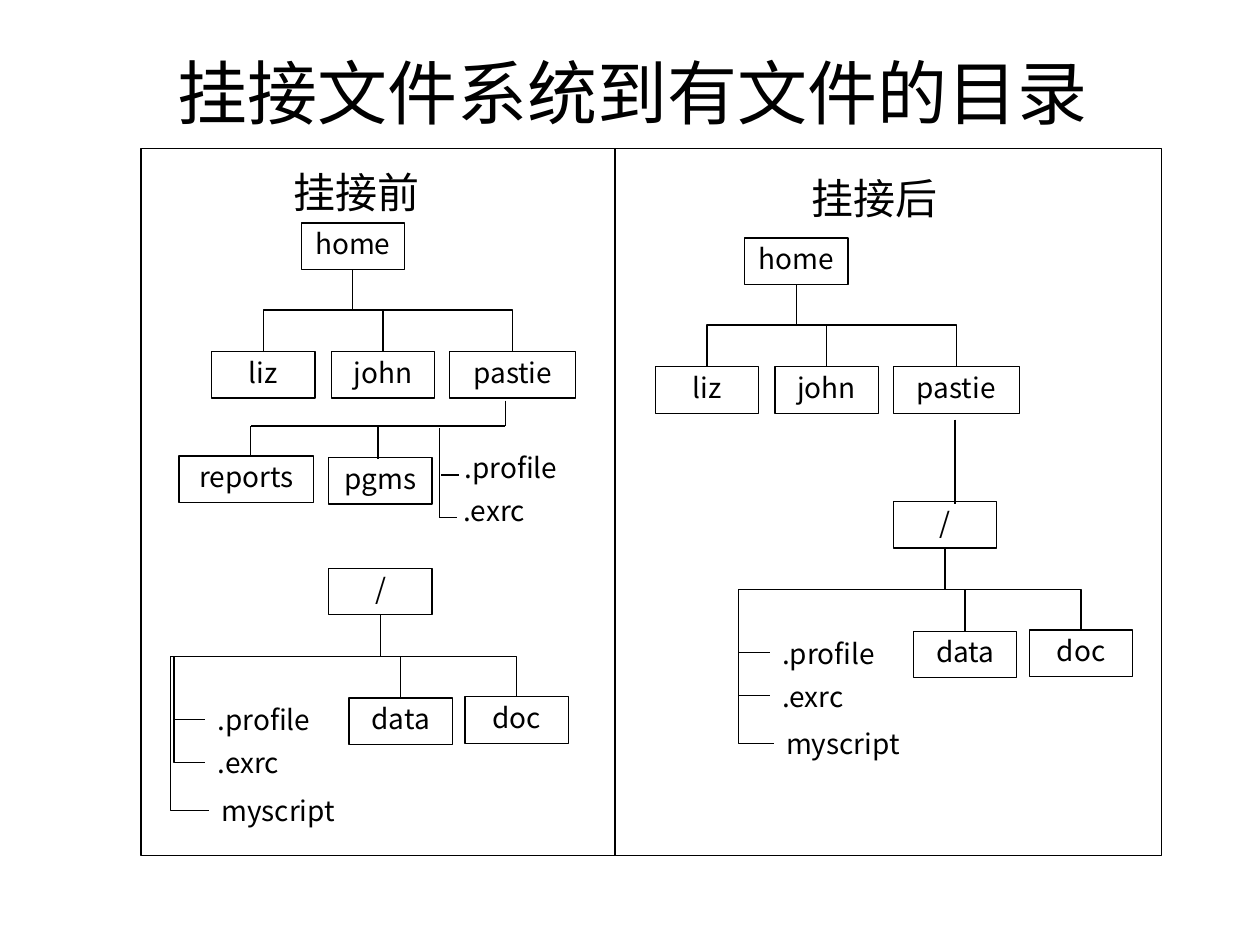
"""Build the slide on mounting a file system onto a directory that holds files."""

from dataclasses import dataclass

import pptx
import pptx.dml.color
import pptx.enum.shapes
import pptx.enum.text
import pptx.oxml
import pptx.oxml.ns
import pptx.util

Inches = pptx.util.Inches
Pt = pptx.util.Pt
ALIGN = pptx.enum.text.PP_ALIGN
ANCHOR = pptx.enum.text.MSO_ANCHOR
CONNECTOR = pptx.enum.shapes.MSO_CONNECTOR
RECTANGLE = pptx.enum.shapes.MSO_SHAPE.RECTANGLE

BLACK = pptx.dml.color.RGBColor(0x00, 0x00, 0x00)
HEADING_FONT = "Times New Roman"
NODE_FONT = "Noto Sans CJK SC"
NODE_WIDTH = 0.82
NODE_HEIGHT = 0.37
LINE_WIDTH = Pt(0.75)


@dataclass(frozen=True)
class Node:
    label: str
    left: float
    top: float
    width: float = NODE_WIDTH

    @property
    def centre(self) -> float:
        return self.left + self.width / 2

    @property
    def bottom(self) -> float:
        return self.top + NODE_HEIGHT

    def moved(self, right: float, down: float) -> "Node":
        return Node(self.label, self.left + right, self.top + down, self.width)


@dataclass(frozen=True)
class Heading:
    label: str
    left: float
    top: float
    width: float
    height: float
    size: int


HEADINGS = [
    Heading("挂接文件系统到有文件的目录", 0.77, 0.34, 8.5, 0.77, 40),
    Heading("挂接前", 1.94, 1.27, 1.78, 0.5, 24),
    Heading("挂接后", 6.05, 1.32, 1.78, 0.5, 24),
]
HOME = Node("home", 2.39, 1.77)
USERS = [
    Node("liz", 1.68, 2.79),
    Node("john", 2.63, 2.79),
    Node("pastie", 3.57, 2.79, 1.0),
]
ROOT = Node("/", 2.61, 4.51)
FOLDERS = [Node("data", 2.77, 5.54), Node("doc", 3.69, 5.53)]
FILES = [
    Node(".profile", 1.63, 5.55, 1.21),
    Node(".exrc", 1.63, 5.89, 1.21),
    Node("myscript", 1.66, 6.27, 1.21),
]
PASTIE_FOLDERS = [Node("reports", 1.42, 3.62, 1.07), Node("pgms", 2.61, 3.63)]
PASTIE_FILES = [Node(".profile", 3.59, 3.55, 1.21), Node(".exrc", 3.58, 3.89, 1.21)]
STRAIGHT_LINES = [
    (4.88, 1.18, 4.88, 6.79),
    (4.01, 3.18, 4.01, 3.38),
    (4.01, 3.38, 1.99, 3.38),
    (1.99, 3.38, 1.99, 3.63),
    (3.0, 3.39, 3.0, 3.64),
    (3.49, 3.4, 3.49, 4.11),
    (3.49, 4.11, 3.63, 4.11),
    (3.5, 3.77, 3.64, 3.77),
    (7.58, 3.33, 7.58, 4.0),
]


def write_text(box, label: str, font: str, size: int, align, anchor, inset: float) -> None:
    frame = box.text_frame
    frame_format = {
        "word_wrap": True,
        "vertical_anchor": anchor,
        "margin_left": Inches(0.1),
        "margin_right": Inches(0.1),
        "margin_top": Inches(inset),
        "margin_bottom": Inches(0.05),
    }
    for name, value in frame_format.items():
        setattr(frame, name, value)
    para = frame.paragraphs[0]
    para.alignment = align
    span = para.add_run()
    span.text = label
    for name, value in {"name": font, "size": Pt(size)}.items():
        setattr(span.font, name, value)
    span.font.color.rgb = BLACK


def add_heading(page, heading: Heading) -> None:
    area = (heading.left, heading.top, heading.width, heading.height)
    box = page.shapes.add_textbox(*map(Inches, area))
    write_text(box, heading.label, HEADING_FONT, heading.size, ALIGN.CENTER, ANCHOR.MIDDLE, 0.05)


def add_outline(page, left: float, top: float, width: float, height: float):
    box = page.shapes.add_shape(RECTANGLE, *map(Inches, (left, top, width, height)))
    box.shadow.inherit = False
    box.fill.background()
    box.line.color.rgb = BLACK
    box.line.width = LINE_WIDTH
    return box


def add_folder(page, node: Node) -> None:
    box = add_outline(page, node.left, node.top, node.width, NODE_HEIGHT)
    write_text(box, node.label, NODE_FONT, 16, ALIGN.CENTER, ANCHOR.TOP, 0.03)


def add_file(page, node: Node) -> None:
    box = page.shapes.add_textbox(*map(Inches, (node.left, node.top, node.width, 0.33)))
    write_text(box, node.label, NODE_FONT, 16, ALIGN.LEFT, ANCHOR.TOP, 0.03)


def add_line(page, x1: float, y1: float, x2: float, y2: float, kind=CONNECTOR.STRAIGHT):
    line = page.shapes.add_connector(kind, *map(Inches, (x1, y1, x2, y2)))
    line.line.color.rgb = BLACK
    line.line.width = LINE_WIDTH
    effects = pptx.oxml.parse_xml(f"<a:effectLst {pptx.oxml.ns.nsdecls('a')}/>")
    line._element.spPr.append(effects)
    return line


def add_branch(page, x1, y1, x2, y2, bus: float, spine: float | None = None) -> None:
    """Draw a downward elbow that turns at the bus and, if given, at the spine."""
    drop, reach = y2 - y1, abs(x2 - x1)
    left, top = (x1 + x2 - drop) / 2, (y1 + y2 - reach) / 2
    line = add_line(page, left, top, left + drop, top + reach, CONNECTOR.ELBOW)
    properties = line._element.spPr
    frame = properties.find(pptx.oxml.ns.qn("a:xfrm"))
    frame.set("rot", str((90 if x2 < x1 else 270) * 60000))
    if x2 > x1:
        frame.set("flipH", "1")
    bends = [(bus - y1) / drop]
    if spine is not None:
        bends.append((x1 - spine) / reach)
    geometry = properties.find(pptx.oxml.ns.qn("a:prstGeom"))
    geometry.set("prst", f"bentConnector{len(bends) + 2}")
    guides = geometry.get_or_add_avLst()
    for number, bend in enumerate(bends, 1):
        guides.append(pptx.oxml.parse_xml(
            f'<a:gd {pptx.oxml.ns.nsdecls("a")} name="adj{number}" '
            f'fmla="val {round(bend * 100000)}"/>'
        ))


def add_folder_tree(page, parent: Node, children: list[Node], drop: float) -> None:
    add_folder(page, parent)
    for child in children:
        add_folder(page, child)
        add_branch(page, parent.centre, parent.bottom, child.centre, child.top,
                   parent.bottom + drop)


def add_home_tree(page, right: float, down: float) -> None:
    users = [user.moved(right, down) for user in USERS]
    add_folder_tree(page, HOME.moved(right, down), users, 0.32)


def add_mounted_tree(page, right: float, down: float, spines: list[float]) -> None:
    root = ROOT.moved(right, down)
    add_folder_tree(page, root, [folder.moved(right, down) for folder in FOLDERS], 0.33)
    for file, spine in zip(FILES, spines):
        leaf = file.moved(right, down)
        add_file(page, leaf)
        add_branch(page, root.centre, root.bottom, leaf.left, leaf.top + 0.16,
                   root.bottom + 0.33, spine)


def main() -> None:
    deck = pptx.Presentation()
    deck.slide_width, deck.slide_height = Inches(10), Inches(7.5)
    page = deck.slides.add_slide(deck.slide_layouts[6])
    for heading in HEADINGS:
        add_heading(page, heading)
    add_home_tree(page, 0, 0)
    add_mounted_tree(page, 0, 0, [1.38, 1.38, 1.35])
    add_home_tree(page, 3.52, 0.12)
    add_mounted_tree(page, 4.48, -0.53, [5.86] * 3)
    add_outline(page, 1.12, 1.18, 8.1, 5.61)
    for folder in PASTIE_FOLDERS:
        add_folder(page, folder)
    for file in PASTIE_FILES:
        add_file(page, file)
    for ends in STRAIGHT_LINES:
        add_line(page, *ends)
    deck.save("out.pptx")


if __name__ == "__main__":
    main()
